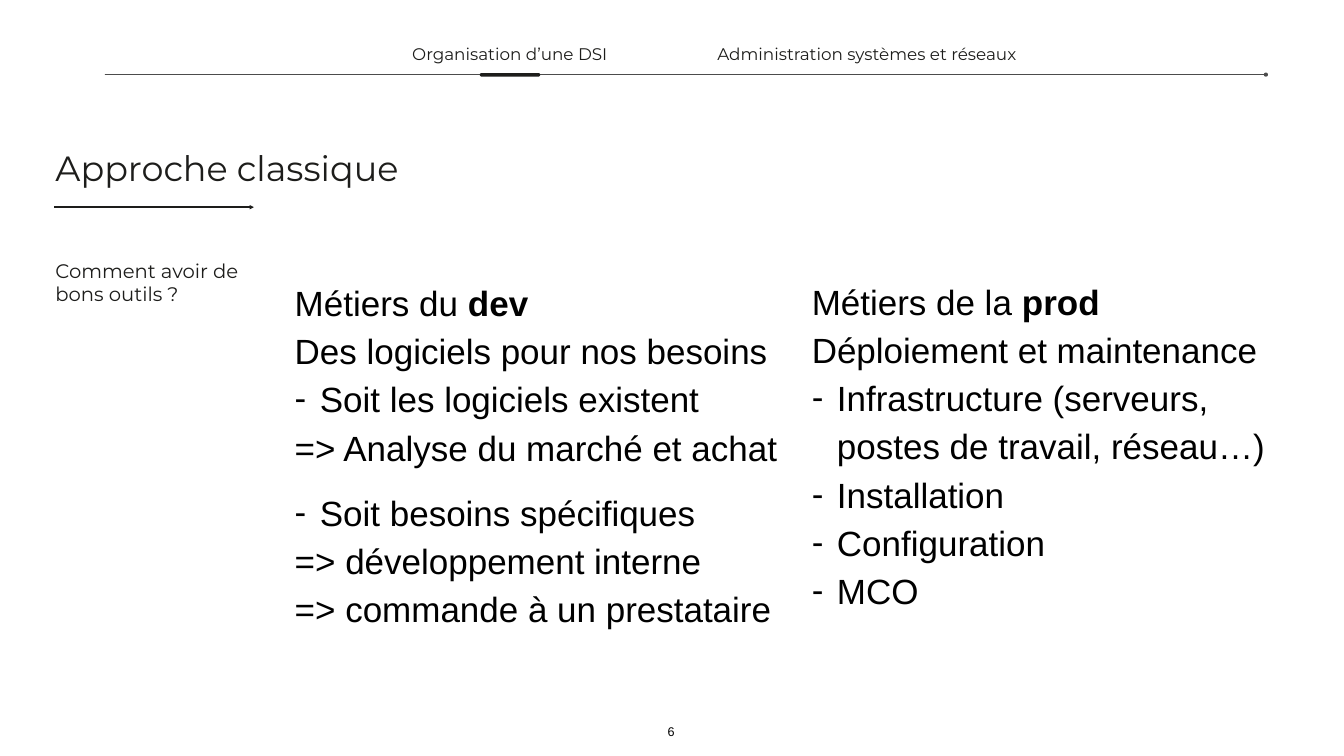
from lxml.etree import SubElement
from pptx import Presentation
from pptx.dml.color import RGBColor
from pptx.enum.shapes import MSO_CONNECTOR, MSO_SHAPE
from pptx.enum.text import MSO_ANCHOR as Anchor, MSO_AUTO_SIZE as AutoSize, PP_ALIGN as Align
from pptx.oxml.ns import qn
from pptx.util import Inches, Pt

COLORS = {"ink": "1D1D1B", "black": "000000"}


def color(name):
    return RGBColor.from_string(COLORS[name])


def add_text_box(page, left, top, width, height, inset, anchor=Anchor.MIDDLE, grow=False):
    box = page.shapes.add_textbox(Inches(left), Inches(top), Inches(width), Inches(height))
    frame = box.text_frame
    frame.word_wrap = True
    frame.auto_size = AutoSize.SHAPE_TO_FIT_TEXT if grow else AutoSize.NONE
    frame.vertical_anchor = anchor
    frame.margin_left = frame.margin_right = Inches(inset)
    frame.margin_top = frame.margin_bottom = Inches(inset)
    return frame


def style_span(span, size, font, ink, bold=False):
    span.font.size = Pt(size)
    span.font.name = font
    span.font.bold = bold
    span.font.color.rgb = color(ink)


def add_label(page, text, left, top, width, height, size, font="Montserrat", ink="ink",
              align=Align.LEFT, anchor=Anchor.MIDDLE):
    frame = add_text_box(page, left, top, width, height, 0.06, anchor, grow=True)
    frame.text = text
    para = frame.paragraphs[0]
    para.alignment = align
    style_span(para.runs[0], size, font, ink)


def add_rule(page, left, top, width, weight, ink, tail, opacity=100):
    rule = page.shapes.add_connector(MSO_CONNECTOR.STRAIGHT, Inches(left), Inches(top),
                                     Inches(left + width), Inches(top))
    rule.line.width = Pt(weight)
    rule.line.color.rgb = color(ink)
    properties = rule._element.spPr
    line = properties.find(qn("a:ln"))
    if opacity < 100:
        SubElement(line.find(".//" + qn("a:srgbClr")), qn("a:alpha"), val=str(opacity * 1000))
    SubElement(line, qn("a:tailEnd"), type=tail)
    SubElement(properties, qn("a:effectLst"))


def add_bullet(para):
    properties = para._p.get_or_add_pPr()
    properties.set("marL", str(Inches(0.5)))
    properties.set("indent", str(Inches(-0.6)))
    bullet_color = SubElement(properties, qn("a:buClr"))
    SubElement(bullet_color, qn("a:srgbClr"), val=COLORS["black"])
    SubElement(properties, qn("a:buFont"), typeface="Arial")
    SubElement(properties, qn("a:buChar"), char="-")


def add_navigation(page, left, top, width):
    add_rule(page, left, top + 0.68, width, 1, "black", "oval", opacity=70)
    marker = page.shapes.add_shape(MSO_SHAPE.ROUNDED_RECTANGLE, Inches(left + 7.44),
                                   Inches(top + 0.65), Inches(1.2), Inches(0.07))
    marker.adjustments[0] = 0.5
    marker.shadow.inherit = False
    marker.fill.solid()
    marker.fill.fore_color.rgb = color("ink")
    marker.line.fill.background()
    for text, offset, label_width in (("Organisation d’une DSI", 5.94, 4.19),
                                      ("Administration systèmes et réseaux", 11.45, 7.34)):
        add_label(page, text, left + offset, top, label_width, 0.52, 24, align=Align.CENTER)


def add_heading(page, left, top, width):
    add_label(page, "Approche classique", left, top, width, 0.95, 50)
    add_rule(page, left + 0.04, top + 1.26, 3.96, 2, "ink", "triangle")
    add_label(page, "Comment avoir de bons outils ?", left, top + 2.22, 3.83, 1.05, 28)


def add_job_column(page, left, top, width, height, title, job, lines, gap_before=None):
    frame = add_text_box(page, left, top, width, height, 0.1)
    para = frame.paragraphs[0]
    para.line_spacing = 1.15
    for text, bold in ((title, False), (job, True)):
        span = para.add_run()
        span.text = text
        style_span(span, 50, "Arial", "black", bold)
    for text, bulleted in lines:
        para = frame.add_paragraph()
        para.text = text
        para.line_spacing = 1.15
        if text == gap_before:
            para.space_before = Pt(24)
        if bulleted:
            add_bullet(para)
        style_span(para.runs[0], 50, "Arial", "black")


def build_slide(deck):
    page = deck.slides.add_slide(deck.slide_layouts[6])
    add_navigation(page, 2.08, 0.8, 23.04)
    add_heading(page, 1.04, 2.85, 14.62)
    add_job_column(page, 5.75, 3.81, 9.91, 10.33, "Métiers du ", "dev", [
        ("Des logiciels pour nos besoins", False),
        ("Soit les logiciels existent", True),
        ("=> Analyse du marché et achat", False),
        ("Soit besoins spécifiques", True),
        ("=> développement interne", False),
        ("=> commande à un prestataire", False),
    ], gap_before="Soit besoins spécifiques")
    add_job_column(page, 16.01, 3.54, 9.91, 10.49, "Métiers de la ", "prod", [
        ("Déploiement et maintenance", False),
        ("Infrastructure (serveurs, postes de travail, réseau…)", True),
        ("Installation", True),
        ("Configuration", True),
        ("MCO", True),
    ])
    add_label(page, "6", 13.12, 14.31, 0.4, 0.42, 18, "Arial", "black", Align.CENTER, Anchor.BOTTOM)


def main():
    deck = Presentation()
    deck.slide_width = Inches(26.67)
    deck.slide_height = Inches(15)
    build_slide(deck)
    deck.save("out.pptx")


if __name__ == "__main__":
    main()
